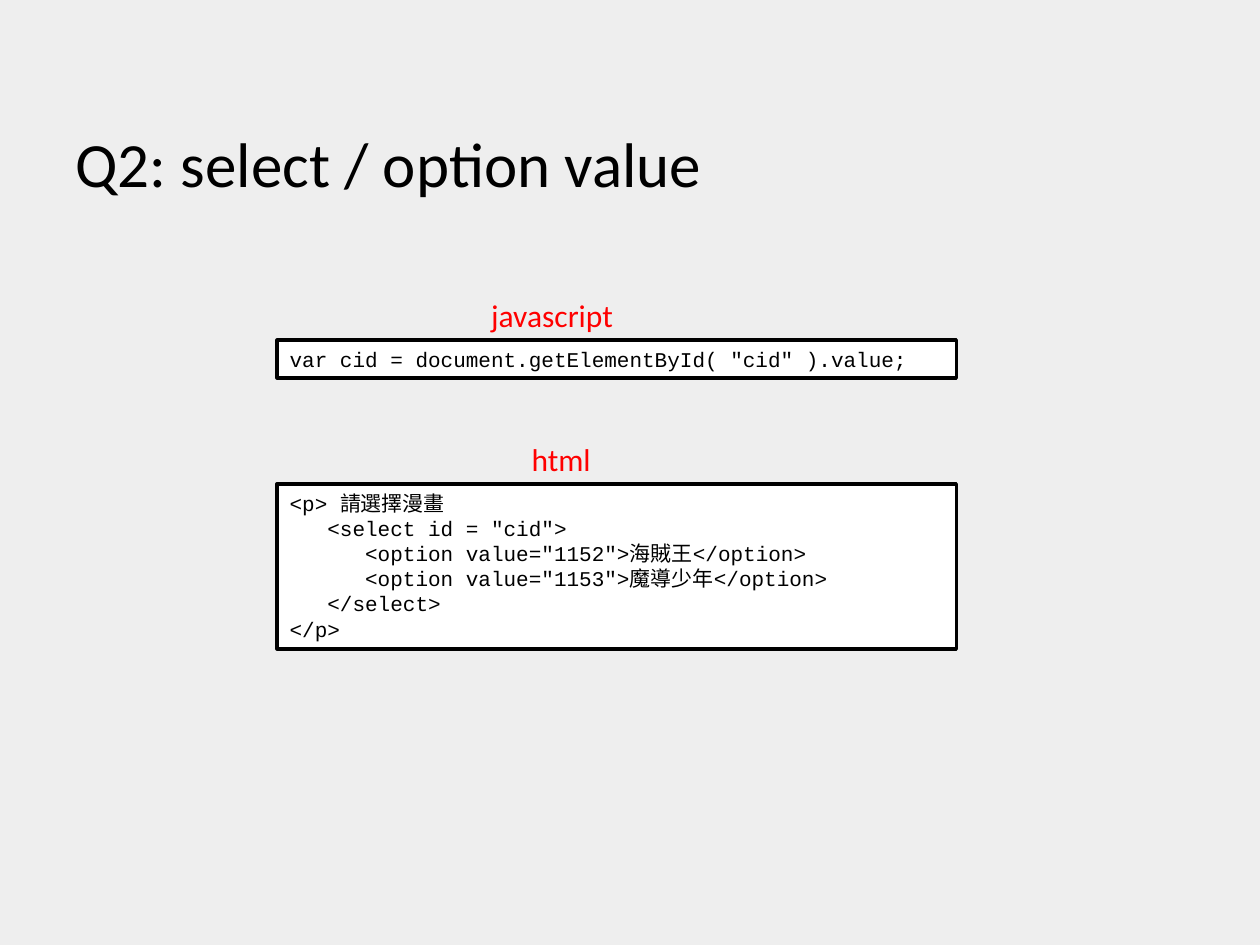
from pptx import Presentation
from pptx.dml.color import RGBColor
from pptx.enum.shapes import MSO_SHAPE as Shape
from pptx.enum.text import MSO_ANCHOR as Anchor, MSO_AUTO_SIZE as AutoSize, PP_ALIGN as Align
from pptx.util import Emu, Pt

PX = 9144  # EMU per px, 100 px to the inch
BLACK = RGBColor(0x00, 0x00, 0x00)
WHITE = RGBColor(0xFF, 0xFF, 0xFF)
RED = RGBColor(0xFF, 0x00, 0x00)
GREY = RGBColor(0xEE, 0xEE, 0xEE)

LABEL_HEIGHT = 40
JAVASCRIPT = ['var cid = document.getElementById( "cid" ).value;']
HTML = [
    "<p> 請選擇漫畫",
    '   <select id = "cid">',
    '      <option value="1152">海賊王</option>',
    '      <option value="1153">魔導少年</option>',
    "   </select>",
    "</p>",
]


def px(*lengths):
    return [Emu(length * PX) for length in lengths]


def write(frame, lines, *, font, size, color=BLACK, anchor=Anchor.TOP, wrap=True,
          auto_size=AutoSize.NONE):
    frame.word_wrap = wrap
    frame.auto_size = auto_size
    frame.vertical_anchor = anchor
    for index, line in enumerate(lines):
        para = frame.add_paragraph() if index else frame.paragraphs[0]
        para.alignment = Align.LEFT
        span = para.add_run()
        span.text = line
        span.font.name = font
        span.font.size = Pt(size)
        span.font.color.rgb = color


def add_title(page, text, left, top, width, height):
    title = page.shapes.title
    title.left, title.top, title.width, title.height = px(left, top, width, height)
    write(title.text_frame, [text], font="Calibri", size=36, anchor=Anchor.BOTTOM)


def add_listing(page, label, lines, left, top, width, height, *, label_left, label_width):
    """Place a framed code box with its language label just above it."""
    box = page.shapes.add_shape(Shape.RECTANGLE, *px(left, top, width, height))
    box.shadow.inherit = False
    box.fill.solid()
    box.fill.fore_color.rgb = WHITE
    box.line.color.rgb = BLACK
    box.line.width = Pt(2)
    write(box.text_frame, lines, font="Courier New", size=12,
          auto_size=AutoSize.SHAPE_TO_FIT_TEXT)

    caption = page.shapes.add_textbox(
        *px(left + label_left, top - LABEL_HEIGHT, label_width, LABEL_HEIGHT))
    write(caption.text_frame, [label], font="Calibri", size=18, color=RED, wrap=False,
          auto_size=AutoSize.SHAPE_TO_FIT_TEXT)


def main():
    deck = Presentation()
    deck.slide_width, deck.slide_height = px(1000, 750)
    page = deck.slides.add_slide(deck.slide_layouts.get_by_name("Title Only"))
    page.background.fill.solid()
    page.background.fill.fore_color.rgb = GREY

    add_title(page, "Q2: select / option value", 50, 39, 900, 125)
    add_listing(page, "javascript", JAVASCRIPT, 220, 270, 539, 30,
                label_left=160, label_width=120)
    add_listing(page, "html", HTML, 220, 384, 539, 131,
                label_left=192, label_width=69)
    deck.save("out.pptx")


if __name__ == "__main__":
    main()
